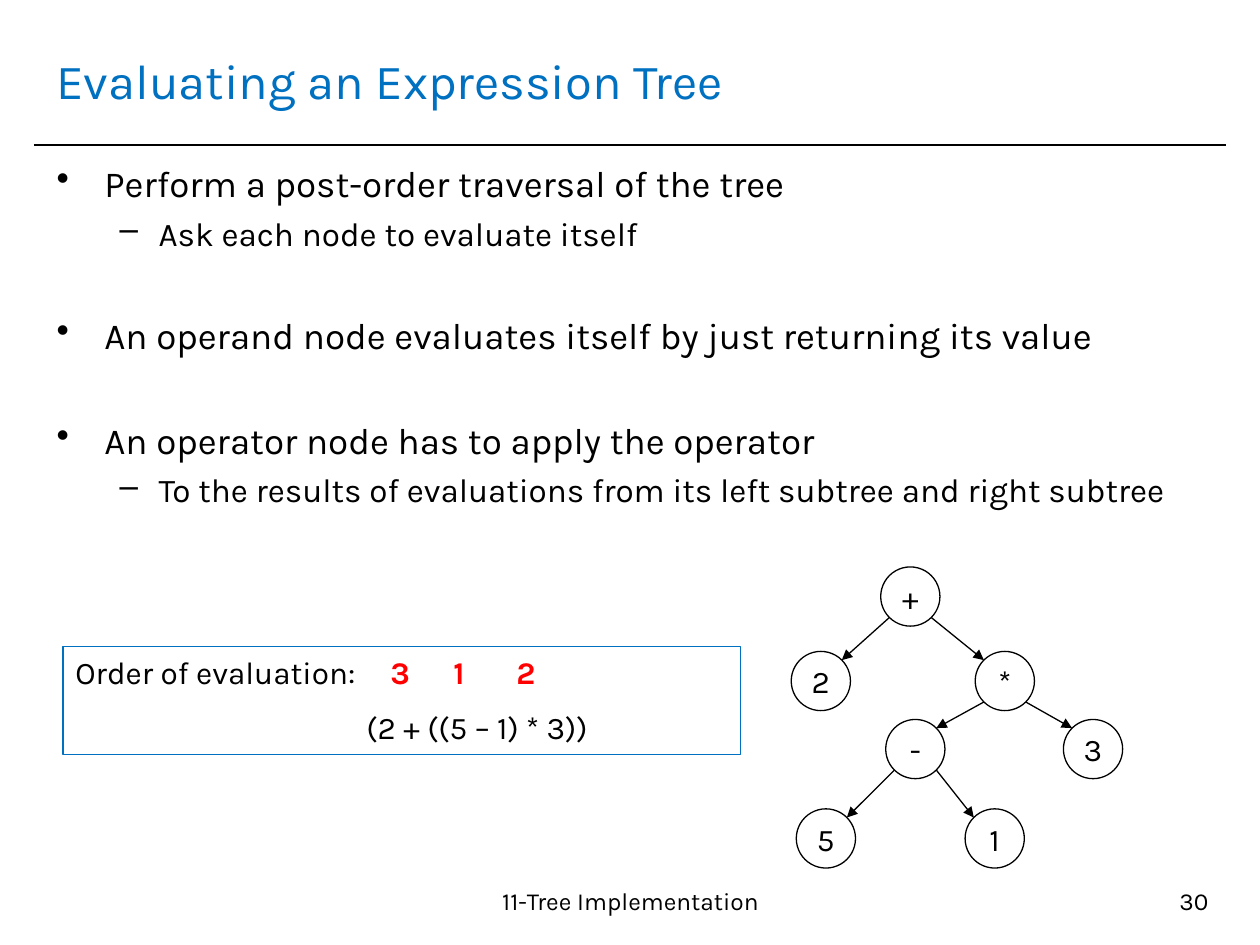
from typing import NamedTuple

from lxml import etree
from pptx import Presentation, util as u
from pptx.dml.color import RGBColor
from pptx.enum import shapes, text
from pptx.oxml.ns import qn

COLORS = {"ink": "000000", "accent": "0070C0", "order": "FF0000"}
FONT = "Karla"
NODE_W, NODE_H = 4.7, 6.27  # percent of slide width and height
DIAGONAL = 0.5 ** 0.5 / 2  # share of a circle's size from centre to 45° point

prs = Presentation()
prs.slide_width, prs.slide_height = u.Inches(10), u.Inches(7.5)
slide = prs.slides.add_slide(prs.slide_layouts[6])


class Area(NamedTuple):
    """Left, top, width and height in percent of the slide."""
    x: float
    y: float
    w: float
    h: float


class Bullet(NamedTuple):
    content: str
    level: int
    before: float


class Node(NamedTuple):
    """A tree node by its centre; parent is an index, side is -1 or 1."""
    label: str
    x: float
    y: float
    parent: int = -1
    side: int = 0


def across(share: float) -> int:
    return round(prs.slide_width * share / 100)


def down(share: float) -> int:
    return round(prs.slide_height * share / 100)


def place(area: Area) -> tuple:
    return across(area.x), down(area.y), across(area.w), down(area.h)


def color(name: str) -> RGBColor:
    return RGBColor.from_string(COLORS[name])


def add_text(frame, content: str, *, size: float, ink: str = "ink", bold: bool = False,
             align=text.PP_ALIGN.LEFT, before: float = 0, margin: float = 0,
             indent: float = 0, bullet: str = "", tabs: tuple = (), new: bool = True):
    """Write a paragraph, or with new=False continue the last one."""
    para = frame.paragraphs[-1]
    if new:
        if para.runs:
            para = frame.add_paragraph()
        para.alignment = align
        if before:
            para.space_before = u.Pt(before)
        props = para._p.get_or_add_pPr()
        props.set("marL", str(u.Inches(margin)))
        props.set("indent", str(u.Inches(indent)))
        if bullet:
            etree.SubElement(props, qn("a:buChar")).set("char", bullet)
        if tabs:
            stops = etree.SubElement(props, qn("a:tabLst"))
            for stop in tabs:
                etree.SubElement(stops, qn("a:tab"), pos=str(u.Inches(stop)), algn="l")
    run = para.add_run()
    run.text = content
    run.font.name, run.font.size, run.font.bold = FONT, u.Pt(size), bold
    run.font.color.rgb = color(ink)


def add_box(area: Area, anchor=text.MSO_ANCHOR.TOP):
    frame = slide.shapes.add_textbox(*place(area)).text_frame
    frame.word_wrap = True
    frame.vertical_anchor = anchor
    return frame


def add_outline(kind, area: Area, ink: str):
    shape = slide.shapes.add_shape(kind, *place(area))
    shape.shadow.inherit = False
    shape.fill.background()
    shape.line.color.rgb = color(ink)
    shape.line.width = u.Pt(0.75)
    return shape.text_frame


def add_line(x1: float, y1: float, x2: float, y2: float, width: float, arrow: bool = False):
    line = slide.shapes.add_connector(shapes.MSO_CONNECTOR.STRAIGHT,
                                      across(x1), down(y1), across(x2), down(y2))
    line.line.color.rgb = color("ink")
    line.line.width = u.Pt(width)
    if arrow:
        etree.SubElement(line.line._get_or_add_ln(), qn("a:tailEnd"), type="triangle")
    etree.SubElement(line._element.spPr, qn("a:effectLst"))


def add_node(node: Node):
    area = Area(node.x - NODE_W / 2, node.y - NODE_H / 2, NODE_W, NODE_H)
    frame = add_outline(shapes.MSO_SHAPE.OVAL, area, "ink")
    frame.word_wrap = False
    frame.vertical_anchor = text.MSO_ANCHOR.MIDDLE
    add_text(frame, node.label, size=18, align=text.PP_ALIGN.CENTER)


def add_edge(parent: Node, child: Node):
    dx, dy = child.side * NODE_W * DIAGONAL, NODE_H * DIAGONAL
    add_line(parent.x + dx, parent.y + dy, child.x - dx, child.y - dy, 0.75, arrow=True)


# Title and rule
add_line(2.7, 15.33, 97.3, 15.33, 1)
add_text(add_box(Area(3.5, 2.8, 92.9, 11.33), text.MSO_ANCHOR.MIDDLE),
         "Evaluating an Expression Tree", size=28, ink="accent")

# Bullets
LEVELS = (
    dict(size=21, margin=0.38, indent=-0.38, bullet="•"),
    dict(size=19, margin=0.81, indent=-0.31, bullet="–"),
)
TOPIC_GAP, DETAIL_GAP = 34.4, 4.5
bullets = (
    Bullet("Perform a post-order traversal of the tree", 0, 0),
    Bullet("Ask each node to evaluate itself", 1, DETAIL_GAP),
    Bullet("An operand node evaluates itself by just returning its value", 0, TOPIC_GAP),
    Bullet("An operator node has to apply the operator", 0, TOPIC_GAP),
    Bullet("To the results of evaluations from its left subtree and right subtree", 1, DETAIL_GAP),
)
body = add_box(Area(3.5, 16.4, 92.9, 74.53))
for item in bullets:
    add_text(body, item.content, before=item.before, **LEVELS[item.level])

# Footer and page number
add_text(add_box(Area(33.5, 93.07, 33.1, 6.93)), "11-Tree Implementation",
         size=14, align=text.PP_ALIGN.CENTER)
add_text(add_box(Area(73.6, 93.07, 23.3, 6.93)), "30", size=14, align=text.PP_ALIGN.RIGHT)

# Expression tree
tree = (
    Node("+", 72.25, 63.13),
    Node("2", 65.15, 72.07, 0, -1),
    Node("*", 79.75, 72.07, 0, 1),
    Node("-", 72.65, 79.27, 2, -1),
    Node("3", 86.75, 79.27, 2, 1),
    Node("5", 65.55, 88.73, 3, -1),
    Node("1", 78.95, 88.73, 3, 1),
)
for node in tree:
    add_node(node)
    if node.side:
        add_edge(tree[node.parent], node)

# Order of evaluation, each number above its operator
order = add_outline(shapes.MSO_SHAPE.RECTANGLE, Area(5, 68.4, 53.8, 11.47), "accent")
order.word_wrap = True
order.vertical_anchor = text.MSO_ANCHOR.TOP
add_text(order, "Order of evaluation:", size=18, tabs=(3.05, 3.63, 4.18))
add_text(order, "\t3\t1\t2", size=18, ink="order", bold=True, new=False)
add_text(order, "(2 + ((5 – 1) * 3))", size=18, before=10, margin=2.31)

prs.save("out.pptx")
